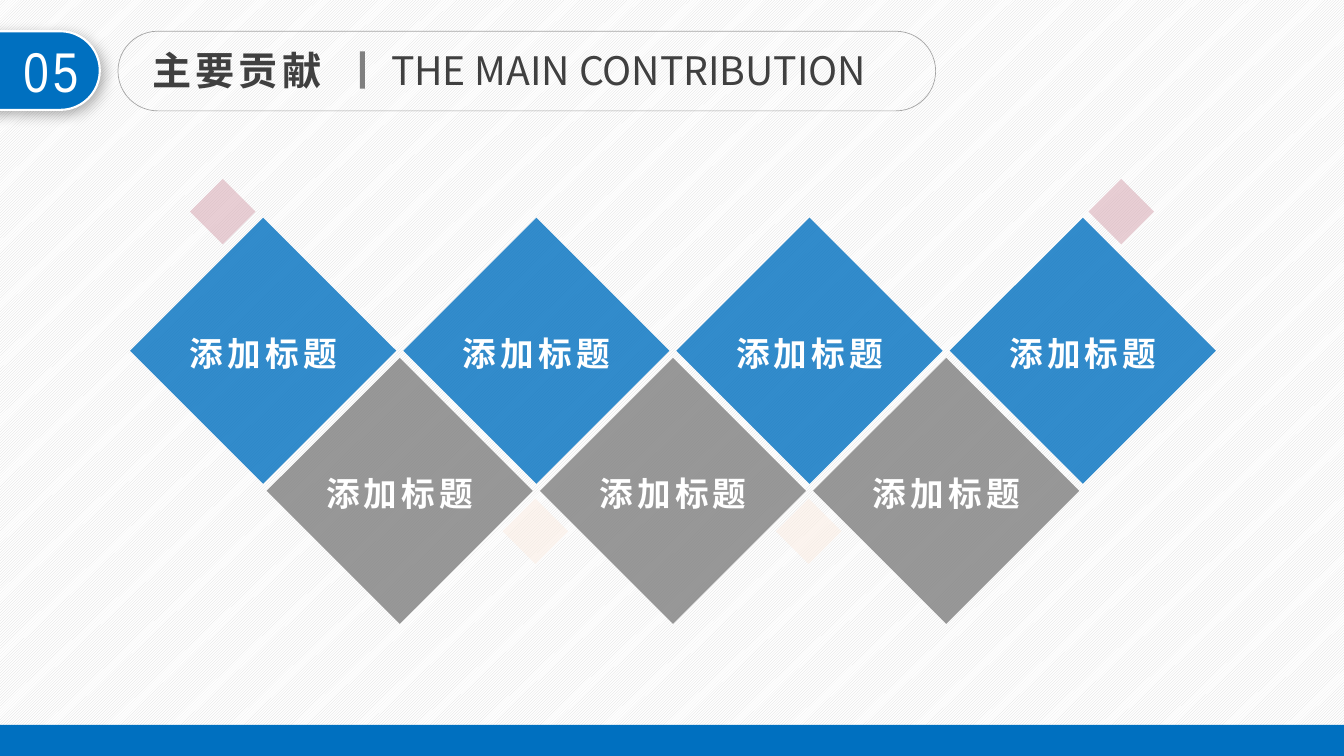
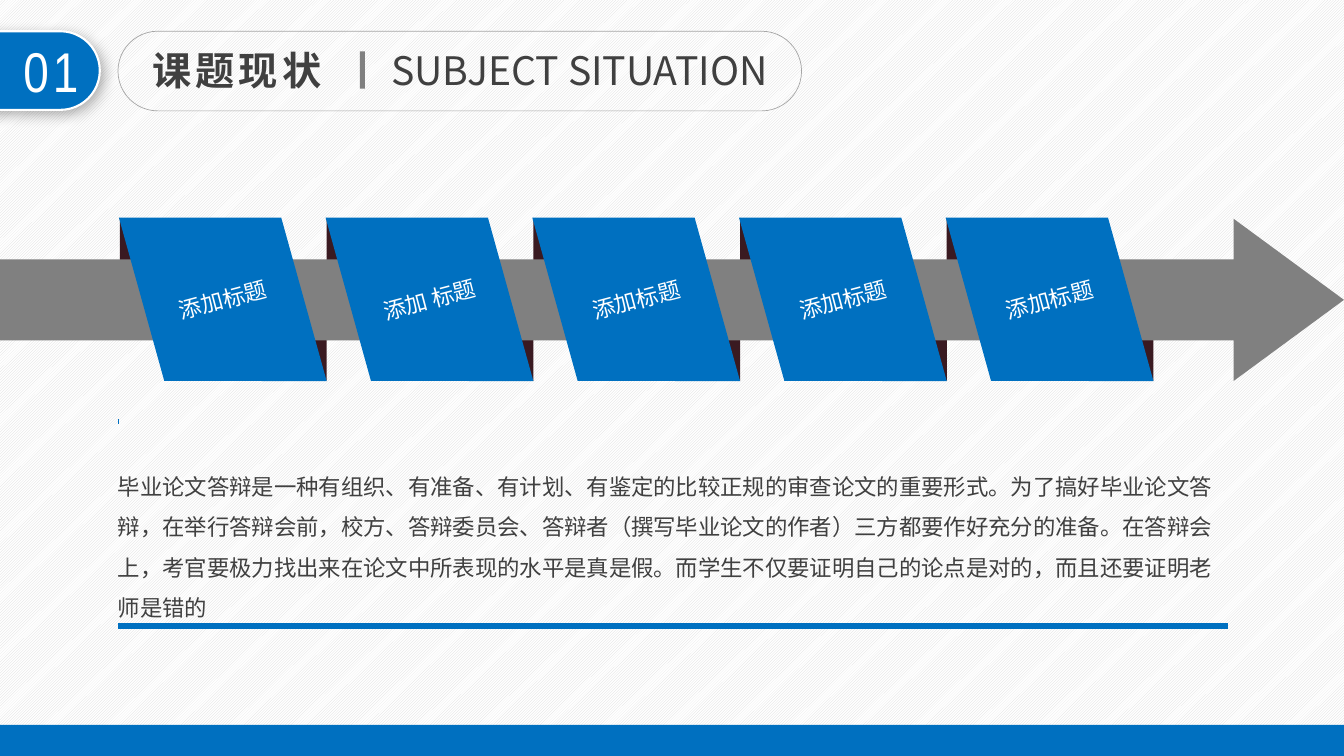
import math
from dataclasses import dataclass
from typing import Optional

import pptx
import pptx.dml.color
import pptx.enum.dml
import pptx.enum.shapes
import pptx.enum.text
import pptx.oxml.ns
import pptx.util
from lxml import etree

Inches = pptx.util.Inches
Preset = pptx.enum.shapes.MSO_SHAPE
Align = pptx.enum.text.PP_ALIGN
Anchor = pptx.enum.text.MSO_ANCHOR
qn = pptx.oxml.ns.qn


@dataclass(frozen=True)
class Theme:
    blue: str = "0070C0"
    gray: str = "808080"
    diamond_gray: str = "7F7F7F"
    outline: str = "A6A6A6"
    text: str = "404040"
    white: str = "FFFFFF"
    pattern: str = "D9D9D9"
    fold: str = "3A1A21"
    pink: str = "D5A1AD"
    cream: str = "FCEDE2"
    chinese_font: str = "Noto Sans CJK SC"
    number_font: str = "Arial Narrow"
    body_font: str = "Arial"
    number_size: int = 40
    title_size: int = 28
    diamond_size: int = 24
    body_size: int = 16


THEME = Theme()


@dataclass(frozen=True)
class Box:
    left: float
    top: float
    width: float
    height: float

    def lengths(self) -> tuple:
        return tuple(Inches(value) for value in (self.left, self.top, self.width, self.height))


@dataclass(frozen=True)
class TextStyle:
    size: int
    color: str
    font: str = THEME.chinese_font
    bold: bool = False
    spacing: int = 0
    align: Align = Align.LEFT
    line_spacing: float = 1.0
    anchor: Anchor = Anchor.MIDDLE
    inset_x: float = 0.1
    inset_y: float = 0.05


@dataclass(frozen=True)
class Heading:
    number: str
    title: str
    subtitle: str
    capsule_width: float


@dataclass(frozen=True)
class Accent:
    left: float
    top: float
    color: str


NUMBER_STYLE = TextStyle(THEME.number_size, THEME.white, THEME.number_font, spacing=3, align=Align.CENTER)
TITLE_STYLE = TextStyle(THEME.title_size, THEME.text, bold=True, spacing=3)
SUBTITLE_STYLE = TextStyle(THEME.title_size, THEME.text)
DIAMOND_STYLE = TextStyle(THEME.diamond_size, THEME.white, bold=True, spacing=3,
                          align=Align.CENTER, line_spacing=1.1, inset_x=0, inset_y=0)
RIBBON_STYLE = TextStyle(THEME.body_size, THEME.white, align=Align.CENTER)
BODY_STYLE = TextStyle(THEME.body_size, THEME.text, THEME.body_font,
                       line_spacing=1.5, anchor=Anchor.BOTTOM, inset_x=0)


def rgb(color: str) -> pptx.dml.color.RGBColor:
    return pptx.dml.color.RGBColor.from_string(color)


# Shared drawing functions
def write_text(shape, text: str, style: TextStyle) -> None:
    frame = shape.text_frame
    frame.text = text
    frame.word_wrap = True
    frame.auto_size = pptx.enum.text.MSO_AUTO_SIZE.NONE
    frame.vertical_anchor = style.anchor
    frame.margin_left = frame.margin_right = Inches(style.inset_x)
    frame.margin_top = frame.margin_bottom = Inches(style.inset_y)
    paragraph = frame.paragraphs[0]
    properties = paragraph._p.get_or_add_pPr()
    properties.set("marL", "0")
    properties.set("indent", "0")
    etree.SubElement(properties, qn("a:buNone"))
    paragraph.alignment = style.align
    paragraph.line_spacing = style.line_spacing
    paragraph.space_before = pptx.util.Pt(0)
    run = paragraph.runs[0]
    run.font.size = pptx.util.Pt(style.size)
    run.font.bold = style.bold
    run.font.color.rgb = rgb(style.color)
    run.font.name = style.font
    run_properties = run._r.get_or_add_rPr()
    run_properties.set("spc", str(style.spacing * 100))
    etree.SubElement(run_properties, qn("a:ea"), typeface=THEME.chinese_font)


def place(shape, box: Box) -> None:
    shape.left, shape.top, shape.width, shape.height = box.lengths()


def add_text(slide, box: Box, text: str, style: TextStyle) -> None:
    write_text(slide.shapes.add_textbox(*box.lengths()), text, style)


def set_alpha(color_element, percent: int) -> None:
    etree.SubElement(color_element, qn("a:alpha"), val=str(percent * 1000))


def paint(shape, fill: Optional[str], opacity: int = 100,
          line: Optional[str] = None, line_width: float = 0) -> None:
    shape.shadow.inherit = False
    if fill:
        shape.fill.solid()
        shape.fill.fore_color.rgb = rgb(fill)
        if opacity < 100:
            set_alpha(shape._element.spPr.find(qn("a:solidFill"))[0], opacity)
    else:
        shape.fill.background()
    if line:
        shape.line.color.rgb = rgb(line)
        shape.line.width = pptx.util.Pt(line_width)
    else:
        shape.line.fill.background()


def add_preset(slide, preset: Preset, box: Box, fill: Optional[str], **look):
    shape = slide.shapes.add_shape(preset, *box.lengths())
    paint(shape, fill, **look)
    return shape


def add_polygon(slide, points: list, fill: str, opacity: int = 100):
    corners = [(Inches(x), Inches(y)) for x, y in points]
    builder = slide.shapes.build_freeform(*corners[0], scale=1.0)
    builder.add_line_segments(corners[1:], close=True)
    shape = builder.convert_to_shape()
    paint(shape, fill, opacity)
    return shape


def add_rule(slide, left: float, right: float, top: float) -> None:
    connector = slide.shapes.add_connector(
        pptx.enum.shapes.MSO_CONNECTOR.STRAIGHT,
        Inches(left), Inches(top), Inches(right), Inches(top))
    connector.line.color.rgb = rgb(THEME.blue)
    connector.line.width = pptx.util.Pt(3.75)
    etree.SubElement(connector._element.spPr, qn("a:effectLst"))


def add_shadow(shape) -> None:
    effects = shape._element.spPr.find(qn("a:effectLst"))
    shadow = etree.SubElement(effects, qn("a:outerShdw"), blurRad=str(pptx.util.Pt(10)),
                              dist=str(pptx.util.Pt(4)), dir=str(45 * 60000), algn="tl")
    set_alpha(etree.SubElement(shadow, qn("a:srgbClr"), val="000000"), 30)


def set_background(master) -> None:
    fill = master.background.fill
    fill.patterned()
    fill.pattern = pptx.enum.dml.MSO_PATTERN.LIGHT_UPWARD_DIAGONAL
    fill.fore_color.rgb = rgb(THEME.pattern)
    fill.back_color.rgb = rgb(THEME.white)


def add_slide(presentation, layout_index: int, heading: Heading):
    slide = presentation.slides.add_slide(presentation.slide_layouts[layout_index])

    # Number badge
    badge = add_preset(slide, Preset.ROUNDED_RECTANGLE, Box(-1.12, 0.31, 2.11, 0.78),
                       THEME.blue, line=THEME.white, line_width=1.5)
    badge.adjustments[0] = 0.5
    add_shadow(badge)
    add_text(slide, Box(0.02, 0.31, 0.97, 0.77), heading.number, NUMBER_STYLE)

    # Title capsule
    capsule = add_preset(slide, Preset.ROUNDED_RECTANGLE, Box(1.17, 0.31, heading.capsule_width, 0.79),
                         None, line=THEME.outline, line_width=0.5)
    capsule.adjustments[0] = 0.5
    place(slide.shapes.title, Box(1.41, 0.41, 2, 0.57))
    write_text(slide.shapes.title, heading.title, TITLE_STYLE)
    add_preset(slide, Preset.RECTANGLE, Box(3.57, 0.51, 0.05, 0.37), THEME.gray)
    add_text(slide, Box(3.78, 0.41, heading.capsule_width - 2.76, 0.57), heading.subtitle, SUBTITLE_STYLE)

    # Footer band
    add_preset(slide, Preset.RECTANGLE, Box(0, 7.19, 13.33, 0.31), THEME.blue)
    return slide


# Contribution slide
def add_diamond(slide, left: float, top: float, color: str) -> None:
    half = 1.32
    points = [(left + half, top), (left + 2 * half, top + half),
              (left + half, top + 2 * half), (left, top + half)]
    write_text(add_polygon(slide, points, color, opacity=80), "添加标题", DIAMOND_STYLE)


def build_contribution(presentation) -> None:
    slide = add_slide(presentation, 5, Heading("05", "主要贡献", "THE MAIN CONTRIBUTION", 8.11))
    accents = (Accent(1.98, 1.87, THEME.pink), Accent(10.89, 1.87, THEME.pink),
               Accent(5.08, 5.04, THEME.cream), Accent(7.79, 5.04, THEME.cream))
    for accent in accents:
        square = add_preset(slide, Preset.RECTANGLE, Box(accent.left, accent.top, 0.46, 0.46),
                            accent.color, opacity=50)
        square.rotation = 45
    left, top, pitch = 1.29, 2.16, 2.71
    for column in range(4):
        add_diamond(slide, left + column * pitch, top, THEME.blue)
    for column in range(3):
        add_diamond(slide, left + (column + 0.5) * pitch, top + 1.39, THEME.diamond_gray)


# Situation slide
def add_ribbon(slide, left: float, top: float, label: str) -> None:
    """Draw a slanted ribbon whose text runs square to its slanted sides."""
    edge, skew, height, tilt = 1.61, 0.45, 1.62, 15
    center_x, center_y = left + (edge + skew) / 2, top + height / 2
    cosine, sine = math.cos(math.radians(tilt)), math.sin(math.radians(tilt))
    corners = [(0, 0), (edge, 0), (edge + skew, height), (skew, height)]
    points = []
    for x, y in corners:
        offset_x, offset_y = left + x - center_x, top + y - center_y
        points.append((center_x + offset_x * cosine - offset_y * sine,
                       center_y + offset_x * sine + offset_y * cosine))
    ribbon = add_polygon(slide, points, THEME.blue)
    ribbon.rotation = -tilt
    write_text(ribbon, label, RIBBON_STYLE)


def build_situation(presentation) -> None:
    slide = add_slide(presentation, 1, Heading("01", "课题现状", "SUBJECT SITUATION", 6.78))

    # Body text and rules
    body = slide.placeholders[1]
    place(body, Box(1.17, 4.18, 11.01, 2.03))
    write_text(body, "毕业论文答辩是一种有组织、有准备、有计划、有鉴定的比较正规的审查论文的重要形式。"
               "为了搞好毕业论文答辩，在举行答辩会前，校方、答辩委员会、答辩者（撰写毕业论文的作者）"
               "三方都要作好充分的准备。在答辩会上，考官要极力找出来在论文中所表现的水平是真是假。"
               "而学生不仅要证明自己的论点是对的，而且还要证明老师是错的", BODY_STYLE)
    add_rule(slide, 1.17, 12.18, 6.21)
    add_rule(slide, 1.17, 1.18, 4.18)

    # Folds behind the arrow, ribbons in front
    labels = ("添加标题", "添加 标题", "添加标题", "添加标题", "添加标题")
    top = 2.16
    lefts = [1.18 + index * 2.05 for index in range(len(labels))]
    for left in lefts:
        add_preset(slide, Preset.RIGHT_TRIANGLE, Box(left + 0.01, top, 0.27, 0.52), THEME.fold)
        lower_fold = add_preset(slide, Preset.RIGHT_TRIANGLE,
                                Box(left + 1.79, top + 1.1, 0.27, 0.52), THEME.fold)
        lower_fold.rotation = 180
    arrow = add_preset(slide, Preset.RIGHT_ARROW, Box(0, 2.17, 13.33, 1.61), THEME.gray)
    arrow.adjustments[0], arrow.adjustments[1] = 0.5, 0.68
    for left, label in zip(lefts, labels):
        add_ribbon(slide, left, top, label)


def main() -> None:
    presentation = pptx.Presentation()
    presentation.slide_width, presentation.slide_height = Inches(13.33), Inches(7.5)
    set_background(presentation.slide_master)
    build_contribution(presentation)
    build_situation(presentation)
    presentation.save("out.pptx")


if __name__ == "__main__":
    main()
